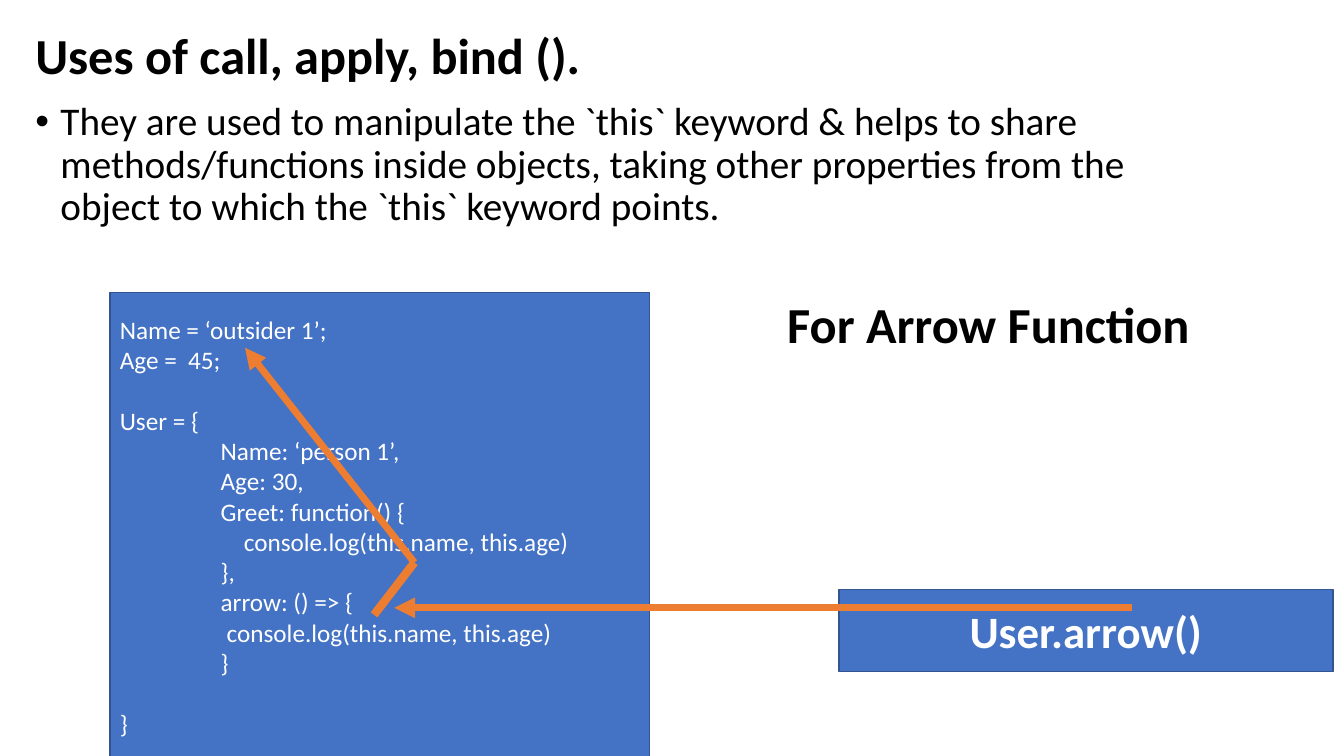
from dataclasses import dataclass

from lxml import etree
from pptx import Presentation
from pptx import util as u
from pptx.dml.color import RGBColor
from pptx.enum import shapes, text
from pptx.oxml.ns import qn


@dataclass(frozen=True)
class Theme:
    font: str = "Calibri"
    ink: str = "000000"
    light: str = "FFFFFF"
    box: str = "4472C4"
    box_edge: str = "325491"
    arrow: str = "ED7D31"
    heading: int = 36
    call: int = 32
    body: int = 28
    code: int = 18
    code_line: float = 22


THEME = Theme()

CODE = [
    ("Name = ‘outsider 1’;", 0, False),
    ("Age =  45;", 0, False),
    ("User = {", 0, True),
    ("Name: ‘person 1’,", 1, False),
    ("Age: 30,", 1, False),
    ("Greet: function() {", 1, False),
    ("console.log(this.name, this.age)", 1.23, False),
    ("},", 1, False),
    ("arrow: () => {", 1, False),
    ("console.log(this.name, this.age)", 1.06, False),
    ("}", 1, False),
    ("}", 0, True),
]


def place(sp, left, top, width, height):
    sp.left, sp.top = u.Inches(left), u.Inches(top)
    sp.width, sp.height = u.Inches(width), u.Inches(height)


def style(p, size, color, bold=False, align=text.PP_ALIGN.LEFT):
    p.font.name = THEME.font
    p.font.size = u.Pt(size)
    p.font.bold = bold
    p.font.color.rgb = RGBColor.from_string(color)
    p.alignment = align


def indent(p, left, first=0):
    pPr = p._p.get_or_add_pPr()
    pPr.set("marL", str(u.Inches(left)))
    pPr.set("indent", str(u.Inches(first)))


def fill_placeholder(sp, words, box, size, bold=False):
    place(sp, *box)
    tf = sp.text_frame
    tf.text = words
    tf.auto_size = text.MSO_AUTO_SIZE.NONE
    p = tf.paragraphs[0]
    style(p, size, THEME.ink, bold)
    p.line_spacing = 0.9
    return p


def add_box(s, box):
    sp = s.shapes.add_shape(shapes.MSO_SHAPE.RECTANGLE, *map(u.Inches, box))
    sp.shadow.inherit = False
    sp.fill.solid()
    sp.fill.fore_color.rgb = RGBColor.from_string(THEME.box)
    sp.line.color.rgb = RGBColor.from_string(THEME.box_edge)
    sp.line.width = u.Pt(1)
    tf = sp.text_frame
    tf.word_wrap = True
    tf.vertical_anchor = text.MSO_ANCHOR.MIDDLE
    return tf


def add_code(s, box, lines):
    tf = add_box(s, box)
    for i, (words, left, gap) in enumerate(lines):
        p = tf.add_paragraph() if i else tf.paragraphs[0]
        p.text = words
        style(p, THEME.code, THEME.light)
        indent(p, left)
        if gap:
            p.space_before = u.Pt(THEME.code_line)


def add_call(s, box, words):
    p = add_box(s, box).paragraphs[0]
    p.text = words
    style(p, THEME.call, THEME.light, True, text.PP_ALIGN.CENTER)


def add_heading(s, box, words):
    tf = s.shapes.add_textbox(*map(u.Inches, box)).text_frame
    tf.word_wrap = True
    p = tf.paragraphs[0]
    p.text = words
    style(p, THEME.heading, THEME.ink, True)


def add_line(parent, start, end, width=5, head=True):
    cx = parent.shapes.add_connector(
        shapes.MSO_CONNECTOR.STRAIGHT, *map(u.Inches, start + end))
    cx.line.color.rgb = RGBColor.from_string(THEME.arrow)
    cx.line.width = u.Pt(width)
    if head:
        etree.SubElement(cx.line._get_or_add_ln(), qn("a:tailEnd"), type="triangle")
    etree.SubElement(cx._element.spPr, qn("a:effectLst"))


def main():
    prs = Presentation()
    prs.slide_width, prs.slide_height = u.Inches(13.33), u.Inches(7.5)
    s = prs.slides.add_slide(prs.slide_layouts[1])

    fill_placeholder(s.shapes.title, "Uses of call, apply, bind ().",
                     (0.25, 0.19, 11.5, 0.78), THEME.heading, True)
    p = fill_placeholder(
        s.placeholders[1],
        "They are used to manipulate the `this` keyword & helps to share "
        "methods/functions inside objects, taking other properties from the "
        "object to which the `this` keyword points.",
        (0.25, 0.96, 11.5, 4.76), THEME.body)
    p.space_before = u.Pt(10)
    indent(p, 0.25, -0.25)

    add_code(s, (1.09, 2.9, 5.35, 4.64), CODE)
    add_call(s, (8.32, 5.85, 4.9, 0.81), "User.arrow()")
    add_line(s, (11.23, 6.03), (3.91, 6.03))

    this_lookup = s.shapes.add_group_shape()
    bend = (4.11, 5.58)
    add_line(this_lookup, (3.71, 6.1), bend, 6, False)
    add_line(this_lookup, bend, (2.43, 3.45))

    add_heading(s, (7.71, 2.86, 4.7, 0.71), "For Arrow Function")
    prs.save("out.pptx")


main()
